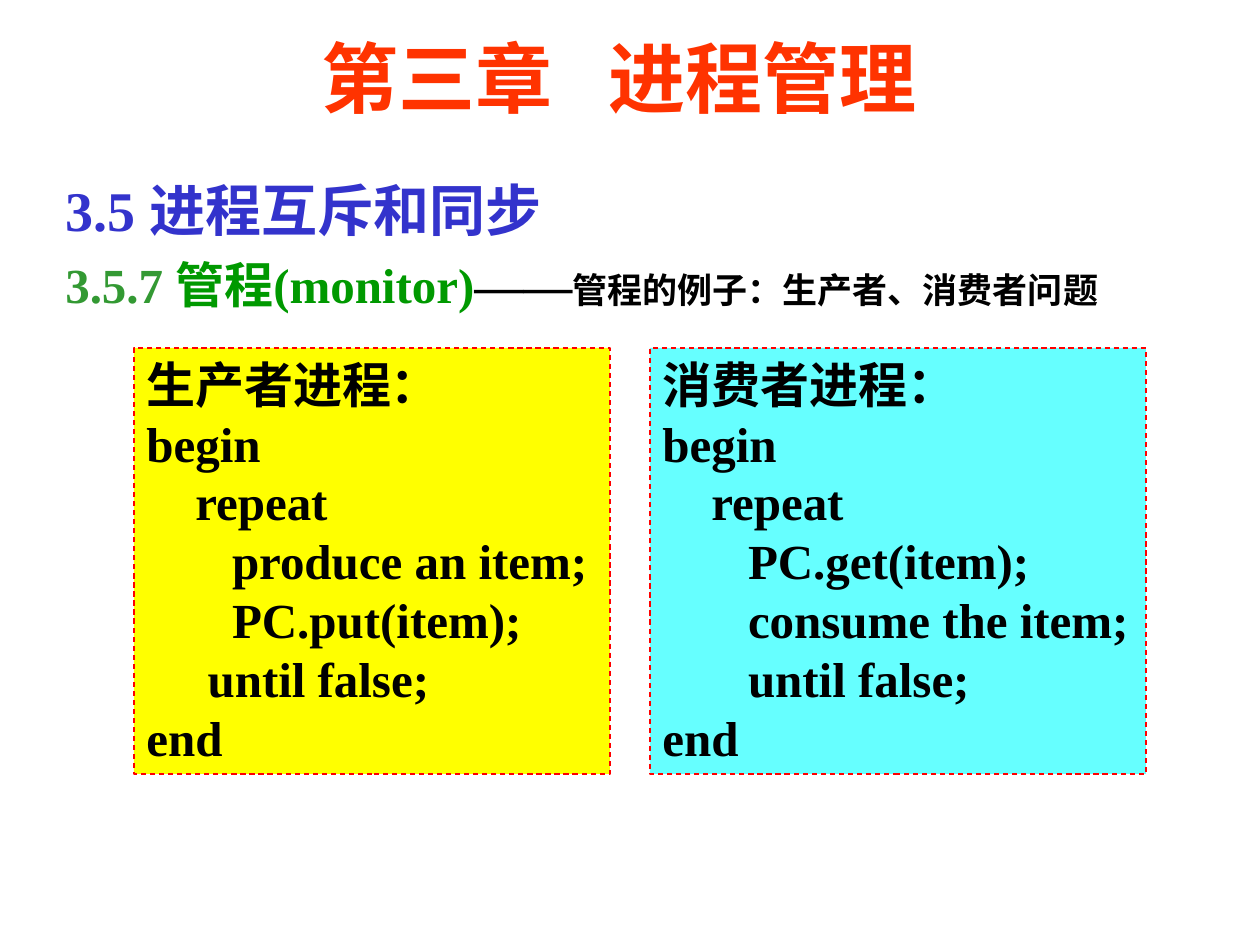
import pptx
import pptx.util
import pptx.dml.color
import pptx.enum.dml
import pptx.enum.shapes
import pptx.enum.text

PX = 914400 // 126
FONT = "Times New Roman"
ALIGN = pptx.enum.text.PP_ALIGN
ANCHOR = pptx.enum.text.MSO_ANCHOR

# Content: a line is a list of (text, format) runs
TITLE = [("第三章", {}), (" ", {"tracking": 22}), ("进程管理", {})]
HEADINGS = [
    ("3.5 进程互斥和同步", {"size": 32, "color": "3333CC"}),
    ("\v3.5.7 ", {"color": "339933"}),
    ("管程(monitor)", {"color": "009900"}),
    ("——", {}),
    ("管程的例子：生产者、消费者问题", {"size": 20}),
]
PROCESSES = [
    {"left": 650, "width": 496, "fill": "66FFFF", "code": [
        "消费者进程：",
        "begin",
        "    repeat",
        "       PC.get(item);",
        "       consume the item;",
        "       until false;",
        "end",
    ]},
    {"left": 134, "width": 476, "fill": "FFFF00", "code": [
        "生产者进程：",
        "begin",
        "    repeat",
        "       produce an item;",
        "       PC.put(item);",
        "     until false;",
        "end",
    ]},
]
PROCESS_TOP, PROCESS_HEIGHT = 348, 426


def rgb(value):
    return pptx.dml.color.RGBColor.from_string(value)


def box(*px):
    return [n * PX for n in px]


def add_run(paragraph, text, size=28, color="000000", tracking=0):
    if text.startswith("\v"):
        paragraph.add_line_break()
        text = text[1:]
    run = paragraph.add_run()
    run.text = text
    run.font.name = FONT
    run.font.size = pptx.util.Pt(size)
    run.font.bold = True
    run.font.color.rgb = rgb(color)
    if tracking:
        run.font._element.set("spc", str(tracking * 100))


def write(shape, lines, align=ALIGN.LEFT, anchor=ANCHOR.TOP, spacing=None, **base):
    frame = shape.text_frame
    frame.word_wrap = True
    frame.vertical_anchor = anchor
    for index, runs in enumerate(lines):
        paragraph = frame.add_paragraph() if index else frame.paragraphs[0]
        paragraph.alignment = align
        paragraph.line_spacing = spacing
        for text, style in runs:
            add_run(paragraph, text, **{**base, **style})


deck = pptx.Presentation()
deck.slide_width, deck.slide_height = box(1260, 945)
slide = deck.slides.add_slide(deck.slide_layouts[6])

# Section headings
headings = slide.shapes.add_textbox(*box(53, 156, 1134, 164))
write(headings, [HEADINGS], spacing=1.2)

# Process code panels
for process in PROCESSES:
    panel = slide.shapes.add_shape(
        pptx.enum.shapes.MSO_SHAPE.RECTANGLE,
        *box(process["left"], PROCESS_TOP, process["width"], PROCESS_HEIGHT))
    panel.shadow.inherit = False
    panel.fill.solid()
    panel.fill.fore_color.rgb = rgb(process["fill"])
    panel.line.color.rgb = rgb("FF0000")
    panel.line.width = pptx.util.Pt(0.75)
    panel.line.dash_style = pptx.enum.dml.MSO_LINE.DASH
    write(panel, [[(line, {})] for line in process["code"]])

# Chapter title
title = slide.shapes.add_textbox(*box(147, 9, 945, 136))
write(title, [TITLE], align=ALIGN.CENTER, anchor=ANCHOR.MIDDLE,
      size=44, color="FF3300")

deck.save("out.pptx")
